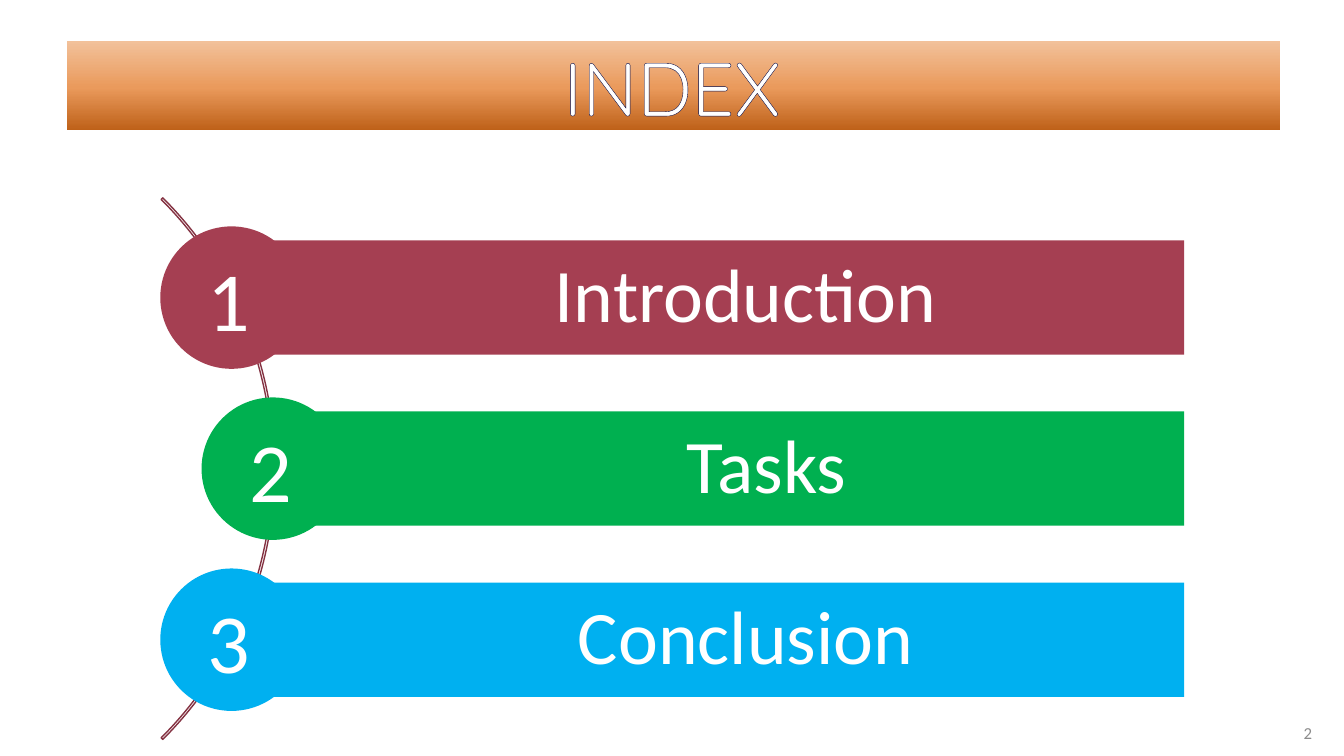
import copy

import pptx
import pptx.dml.color
import pptx.enum.shapes
import pptx.enum.text
import pptx.oxml
import pptx.util
from pptx.util import Cm

WHITE = "FFFFFF"
SHAPES = pptx.enum.shapes.MSO_SHAPE
ALIGN = pptx.enum.text.PP_ALIGN
MIDDLE = pptx.enum.text.MSO_ANCHOR.MIDDLE

# topic, colour, left edge of its circle in cm
TOPICS = [
    ("Introduction", "A53F52", 4.04),
    ("Tasks", "00B050", 5.08),
    ("Conclusion", "00B0F0", 4.04),
]
FIRST_BAR_TOP, BAR_PITCH, BAR_HEIGHT, BAR_RIGHT = 6.06, 4.31, 2.88, 29.84
CIRCLE_SIZE = 3.59


def rgb(hex_colour):
    return pptx.dml.color.RGBColor.from_string(hex_colour)


def add_plain_shape(slide, preset, left, top, width, height, fill=None):
    """Add a preset shape, placed in cm, with no shadow and no outline."""
    shape = slide.shapes.add_shape(preset, Cm(left), Cm(top), Cm(width), Cm(height))
    shape.shadow.inherit = False
    shape.line.fill.background()
    if fill:
        shape.fill.solid()
        shape.fill.fore_color.rgb = rgb(fill)
    else:
        shape.fill.background()
    return shape


def write(shape, text, size, colour=WHITE, font="Calibri", align=ALIGN.CENTER):
    """Put one formatted paragraph into a shape and return the paragraph."""
    shape.text_frame.text = text
    paragraph = shape.text_frame.paragraphs[0]
    paragraph.alignment = align
    run_font = paragraph.runs[0].font
    run_font.name = font
    run_font.size = pptx.util.Pt(size)
    run_font.color.rgb = rgb(colour)
    return paragraph


def add_label(slide, text, left, top, width, height, size, **style):
    label = slide.shapes.add_textbox(Cm(left), Cm(top), Cm(width), Cm(height))
    label.text_frame.word_wrap = True
    write(label, text, size, **style)
    return label


def add_title_band(slide):
    band = add_plain_shape(slide, SHAPES.RECTANGLE, 1.68, 1.04, 30.58, 2.24)
    band.fill.gradient()
    band.fill.gradient_angle = 90
    first_stop = band.element.xpath(".//a:gs")[0]
    first_stop.addnext(copy.deepcopy(first_stop))
    stops = [(0, "BE6119"), (0.48, "EA9A5C"), (1, "F2C19A")]
    for stop, (position, colour) in zip(band.fill.gradient_stops, stops):
        stop.position = position
        stop.color.rgb = rgb(colour)


def format_title(slide):
    title = slide.shapes.title
    title.left, title.top, title.width, title.height = Cm(1.65), Cm(1.02), Cm(30.56), Cm(2.29)
    title.text_frame.vertical_anchor = MIDDLE
    heading = write(title, "INDEX", 54, font="Quicksand")
    outline = pptx.oxml.parse_xml(
        '<a:ln xmlns:a="http://schemas.openxmlformats.org/drawingml/2006/main" w="10160">'
        '<a:solidFill><a:srgbClr val="01023B"/></a:solidFill></a:ln>'
    )
    heading.runs[0].font.element.insert(0, outline) if hasattr(
        heading.runs[0].font, "element"
    ) else heading.runs[0]._r.get_or_add_rPr().insert(0, outline)


def add_arc(slide):
    arc = add_plain_shape(slide, SHAPES.BLOCK_ARC, -12.37, 2.16, 19.3, 19.3)
    for index, value in enumerate((189, 27, 0.003)):
        arc.adjustments[index] = value
    arc.line.color.rgb = rgb("843242")
    arc.line.width = pptx.util.Pt(1)


def add_topic(slide, number, topic, colour, circle_left):
    bar_top = FIRST_BAR_TOP + (number - 1) * BAR_PITCH
    bar_left = circle_left + CIRCLE_SIZE / 2
    bar = add_plain_shape(slide, SHAPES.RECTANGLE, bar_left, bar_top,
                          BAR_RIGHT - bar_left, BAR_HEIGHT, colour)
    frame = bar.text_frame
    frame.vertical_anchor = MIDDLE
    frame.margin_left = Cm(2.29)
    frame.margin_top = frame.margin_right = frame.margin_bottom = Cm(0.38)
    write(bar, topic, 54).line_spacing = 0.9

    circle_top = bar_top + (BAR_HEIGHT - CIRCLE_SIZE) / 2
    add_plain_shape(slide, SHAPES.OVAL, circle_left, circle_top,
                    CIRCLE_SIZE, CIRCLE_SIZE, colour)
    add_label(slide, str(number), circle_left + 0.95, circle_top + 0.4,
              2.21, 2.82, 60, align=ALIGN.LEFT)


def main():
    deck = pptx.Presentation()
    deck.slide_width, deck.slide_height = Cm(33.87), Cm(19.05)
    slide = deck.slides.add_slide(deck.slide_layouts[5])

    add_title_band(slide)
    # The title placeholder comes first, so lift it above its band.
    title_element = slide.shapes.title.element
    title_element.getparent().append(title_element)
    format_title(slide)

    add_arc(slide)
    for number, (topic, colour, circle_left) in enumerate(TOPICS, start=1):
        add_topic(slide, number, topic, colour, circle_left)

    page_number = add_label(slide, "2", 32.08, 17.96, 1.24, 1.02, 12,
                            colour="8C8C8C", align=ALIGN.RIGHT)
    page_number.text_frame.vertical_anchor = MIDDLE
    deck.save("out.pptx")


if __name__ == "__main__":
    main()
